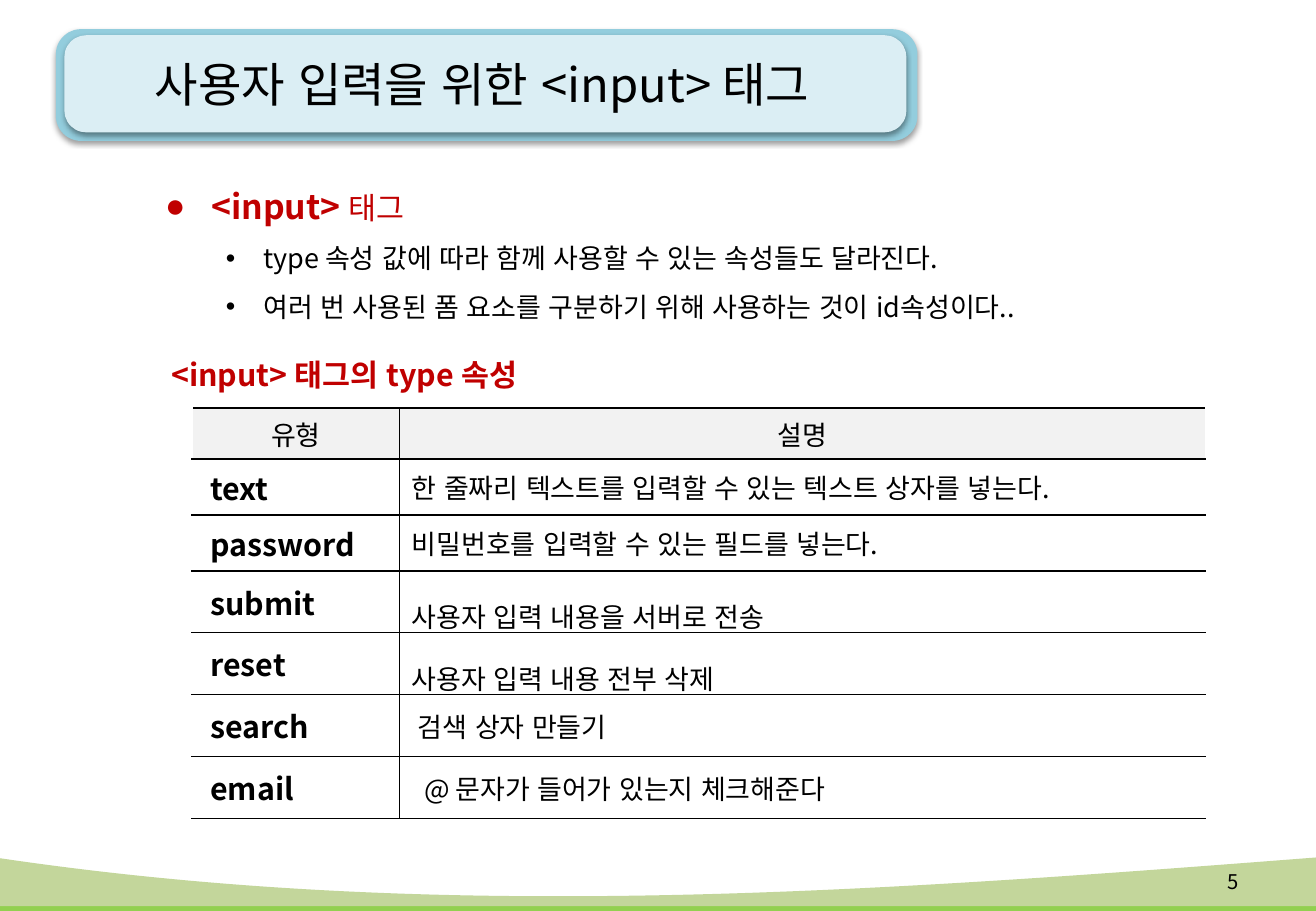
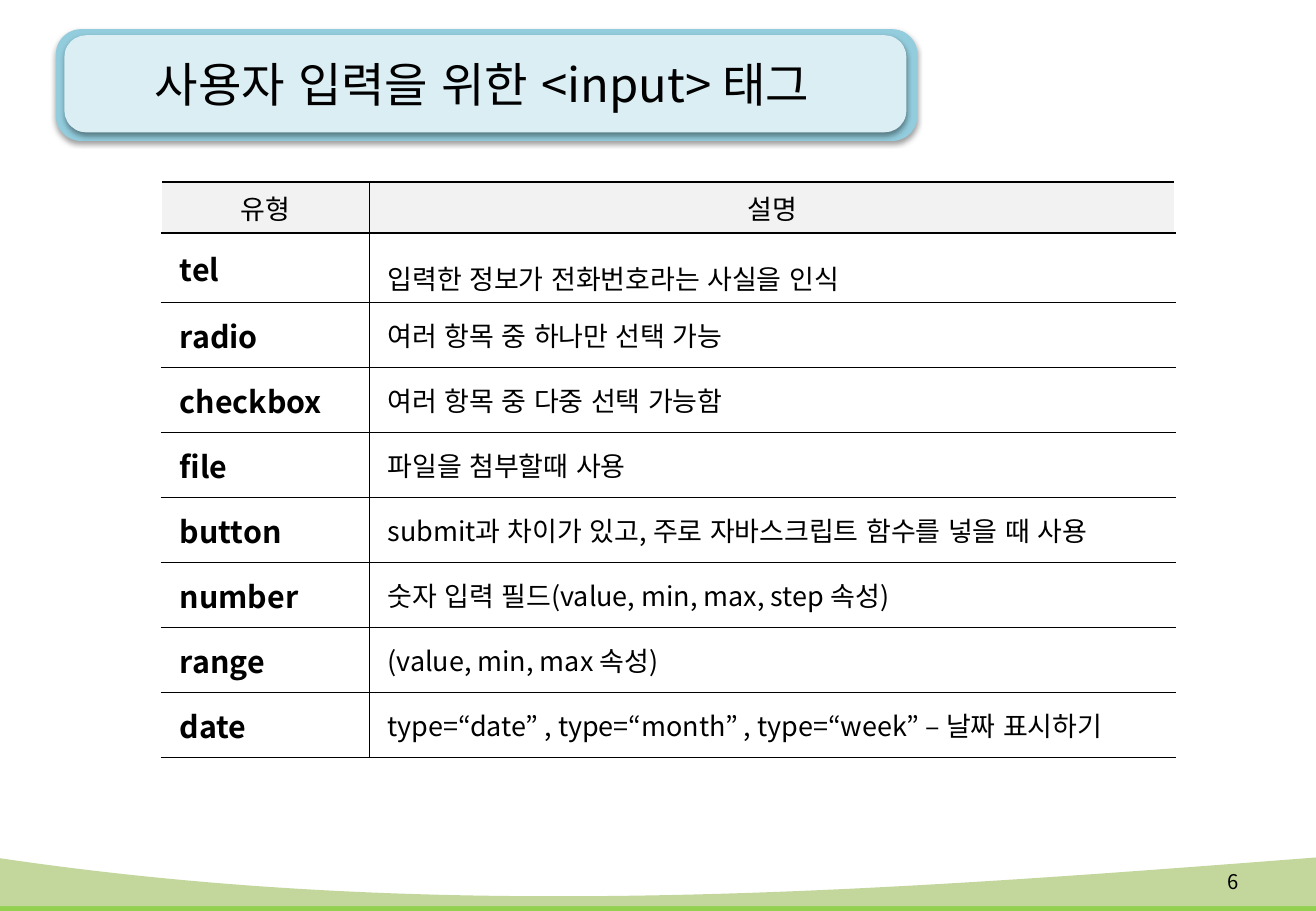
from lxml import etree
from pptx import Presentation
from pptx.dml.color import RGBColor
from pptx.enum.shapes import MSO_SHAPE
from pptx.enum.text import MSO_ANCHOR, PP_ALIGN
from pptx.oxml import parse_xml
from pptx.oxml.ns import qn
from pptx.util import Inches, Pt

ROUNDED = MSO_SHAPE.ROUNDED_RECTANGLE
MIDDLE = MSO_ANCHOR.MIDDLE
LEFT, CENTER, RIGHT = PP_ALIGN.LEFT, PP_ALIGN.CENTER, PP_ALIGN.RIGHT

FONT = "Noto Sans CJK KR"
BULLET_FONT = "Arial"
NAMESPACE = 'xmlns:a="http://schemas.openxmlformats.org/drawingml/2006/main"'
COLORS = {
    "text": "000000",
    "accent": "C00000",
    "header": "F2F2F2",
    "frame": "93CDDD",
    "panel": "DBEEF4",
    "strip": "92D050",
    "wave": "C3D69B",
}
SHADOW = (
    f'<a:effectLst {NAMESPACE}><a:outerShdw blurRad="40000" dist="20000" dir="5400000" rotWithShape="0">'
    f'<a:srgbClr val="{COLORS["text"]}"><a:alpha val="38000"/></a:srgbClr></a:outerShdw></a:effectLst>'
)

TITLE = "사용자 입력을 위한 <input> 태그"
TITLE_PANELS = [
    ("frame", 0.46, 0.24, 7.09, 0.92),
    ("panel", 0.53, 0.29, 6.93, 0.8),
]
WAVE_X = (-0.04, 3.64, 7.19, 10.83)
WAVES = {
    "strip": ((7.24, 7.6, 7.43, 7.24), 7.5),
    "wave": ((7.06, 7.61, 7.34, 7.06), 7.46),
}

COLUMN_WIDTHS = (1.71, 6.63)
HEADERS = ("유형", "설명")
INSET = 0.1
INDENTED = 0.15

PAGES = [
    {
        "number": "5",
        "table_at": (1.58, 3.36),
        "row_heights": [0.42] + [0.46] * 2 + [0.51] * 4,
        "rows": [
            ("text", "한 줄짜리 텍스트를 입력할 수 있는 텍스트 상자를 넣는다.", INSET, 1),
            ("password", "비밀번호를 입력할 수 있는 필드를 넣는다.", INSET, 1),
            ("submit", "사용자 입력 내용을 서버로 전송", INSET, 1.5),
            ("reset", "사용자 입력 내용 전부 삭제", INSET, 1.5),
            ("search", "검색 상자 만들기", INDENTED, 1),
            ("email", "@ 문자가 들어가 있는지 체크해준다", 0.2, 1),
        ],
    },
    {
        "number": "6",
        "table_at": (1.33, 1.5),
        "row_heights": [0.42, 0.57] + [(4.74 - 0.42 - 0.57) / 7] * 7,
        "rows": [
            ("tel", "입력한 정보가 전화번호라는 사실을 인식", INDENTED, 1.5),
            ("radio", "여러 항목 중 하나만 선택 가능", INDENTED, 1),
            ("checkbox", "여러 항목 중 다중 선택 가능함", INDENTED, 1),
            ("file", "파일을 첨부할때 사용", INDENTED, 1),
            ("button", "submit과 차이가 있고, 주로 자바스크립트 함수를 넣을 때 사용", INDENTED, 1),
            ("number", "숫자 입력 필드(value, min, max, step 속성)", INDENTED, 1),
            ("range", "(value, min, max 속성)", INDENTED, 1),
            ("date", "type=“date” , type=“month” , type=“week” – 날짜 표시하기", INDENTED, 1),
        ],
    },
]

BULLETS = [
    (0, "●", 0.38, 0.38, [("<input> ", 20, True, "accent"), ("태그", 18, False, "accent")]),
    (1, "•", 0.81, 0.31, [("type 속성 값에 따라 함께 사용할 수 있는 속성들도 달라진다.", 16, False, "text")]),
    (1, "•", 0.81, 0.31, [("여러 번 사용된 폼 요소를 구분하기 위해 사용하는 것이 id속성이다..", 16, False, "text")]),
]


def write(paragraph, runs, align=LEFT, spacing=1):
    paragraph.alignment = align
    paragraph.line_spacing = spacing
    for text, size, bold, color in runs:
        run = paragraph.add_run()
        run.text = text
        run.font.size = Pt(size)
        run.font.bold = bold
        run.font.name = FONT
        run.font.color.rgb = RGBColor.from_string(COLORS[color])
        properties = run.font._element
        properties.set("lang", "ko-KR")
        properties.set("kern", "0")
        etree.SubElement(properties, qn("a:ea")).set("typeface", FONT)


def add_text_frame(slide, left, top, width, height):
    box = slide.shapes.add_textbox(Inches(left), Inches(top), Inches(width), Inches(height))
    box.text_frame.word_wrap = True
    return box.text_frame


presentation = Presentation()
presentation.slide_width = Inches(10.83)
presentation.slide_height = Inches(7.5)
blank_layout = presentation.slide_layouts[6]

for page in PAGES:
    slide = presentation.slides.add_slide(blank_layout)

    for color, (curve_y, bottom) in WAVES.items():
        curve = [(Inches(x), Inches(y)) for x, y in zip(WAVE_X, curve_y)]
        start, end = curve[0], curve[-1]
        builder = slide.shapes.build_freeform(*start)
        builder.add_line_segments([end, (end[0], Inches(bottom)), (start[0], Inches(bottom))], close=True)
        band = builder.convert_to_shape()
        band.shadow.inherit = False
        band.fill.solid()
        band.fill.fore_color.rgb = RGBColor.from_string(COLORS[color])
        band.line.fill.background()
        top_edge = next(band._element.iter(qn("a:lnTo")))
        top_edge.tag = qn("a:cubicBezTo")
        for index, (x, y) in enumerate(curve[1:-1]):
            control = etree.Element(qn("a:pt"), x=str(x - start[0]), y=str(y - start[1]))
            top_edge.insert(index, control)

    for color, left, top, width, height in TITLE_PANELS:
        panel = slide.shapes.add_shape(ROUNDED, Inches(left), Inches(top), Inches(width), Inches(height))
        panel.adjustments[0] = 0.225
        panel.fill.solid()
        panel.fill.fore_color.rgb = RGBColor.from_string(COLORS[color])
        panel.line.fill.background()
        panel._element.spPr.append(parse_xml(SHADOW))

    title_frame = add_text_frame(slide, 0.46, 0.22, 7.01, 0.94)
    title_frame.vertical_anchor = MIDDLE
    write(title_frame.paragraphs[0], [(TITLE, 28, False, "text")], CENTER)

    number_frame = add_text_frame(slide, 9.68, 7.06, 0.61, 0.4)
    number_frame.vertical_anchor = MIDDLE
    write(number_frame.paragraphs[0], [(page["number"], 12, False, "text")], RIGHT)

    left, top = page["table_at"]
    heights = page["row_heights"]
    table = slide.shapes.add_table(
        len(heights), len(COLUMN_WIDTHS), Inches(left), Inches(top),
        Inches(sum(COLUMN_WIDTHS)), Inches(sum(heights)),
    ).table
    table.first_row = False
    table.horz_banding = False
    for column, width in zip(table.columns, COLUMN_WIDTHS):
        column.width = Inches(width)
    for row, height in zip(table.rows, heights):
        row.height = Inches(height)

    cell_rows = [[(header, 16, False, CENTER, INSET, 1) for header in HEADERS]]
    for label, description, inset, spacing in page["rows"]:
        cell_rows.append([
            (label, 18, True, LEFT, INDENTED, 1),
            (description, 16, False, LEFT, inset, spacing),
        ])
    for row_index, cells in enumerate(cell_rows):
        for column_index, (text, size, bold, align, inset, spacing) in enumerate(cells):
            cell = table.cell(row_index, column_index)
            cell.vertical_anchor = MIDDLE
            cell.margin_left = Inches(inset)
            write(cell.text_frame.paragraphs[0], [(text, size, bold, "text")], align, spacing)
            if row_index == 0:
                cell.fill.solid()
                cell.fill.fore_color.rgb = RGBColor.from_string(COLORS["header"])
            else:
                cell.fill.background()
            sides = ("lnR", "lnT", "lnB") if column_index == 0 else ("lnL", "lnT", "lnB")
            for position, side in enumerate(sides):
                border = parse_xml(
                    f'<a:{side} {NAMESPACE} w="12700"><a:solidFill>'
                    f'<a:srgbClr val="{COLORS["text"]}"/></a:solidFill></a:{side}>'
                )
                cell._tc.tcPr.insert(position, border)

input_slide = presentation.slides[0]
bullet_frame = add_text_frame(input_slide, 1.26, 1.31, 8.57, 1.41)
for index, (level, bullet, margin, hanging, runs) in enumerate(BULLETS):
    paragraph = bullet_frame.add_paragraph() if index else bullet_frame.paragraphs[0]
    paragraph.level = level
    write(paragraph, runs, spacing=1.5)
    properties = paragraph._p.get_or_add_pPr()
    properties.set("marL", str(Inches(margin)))
    properties.set("indent", str(-Inches(hanging)))
    etree.SubElement(properties, qn("a:buFont")).set("typeface", BULLET_FONT)
    etree.SubElement(properties, qn("a:buChar")).set("char", bullet)

caption_frame = add_text_frame(input_slide, 1.26, 2.73, 3.68, 0.56)
caption_frame.margin_left = Inches(INDENTED)
write(caption_frame.paragraphs[0], [("<input> 태그의 type 속성", 18, True, "accent")], spacing=1.5)

presentation.save("out.pptx")
